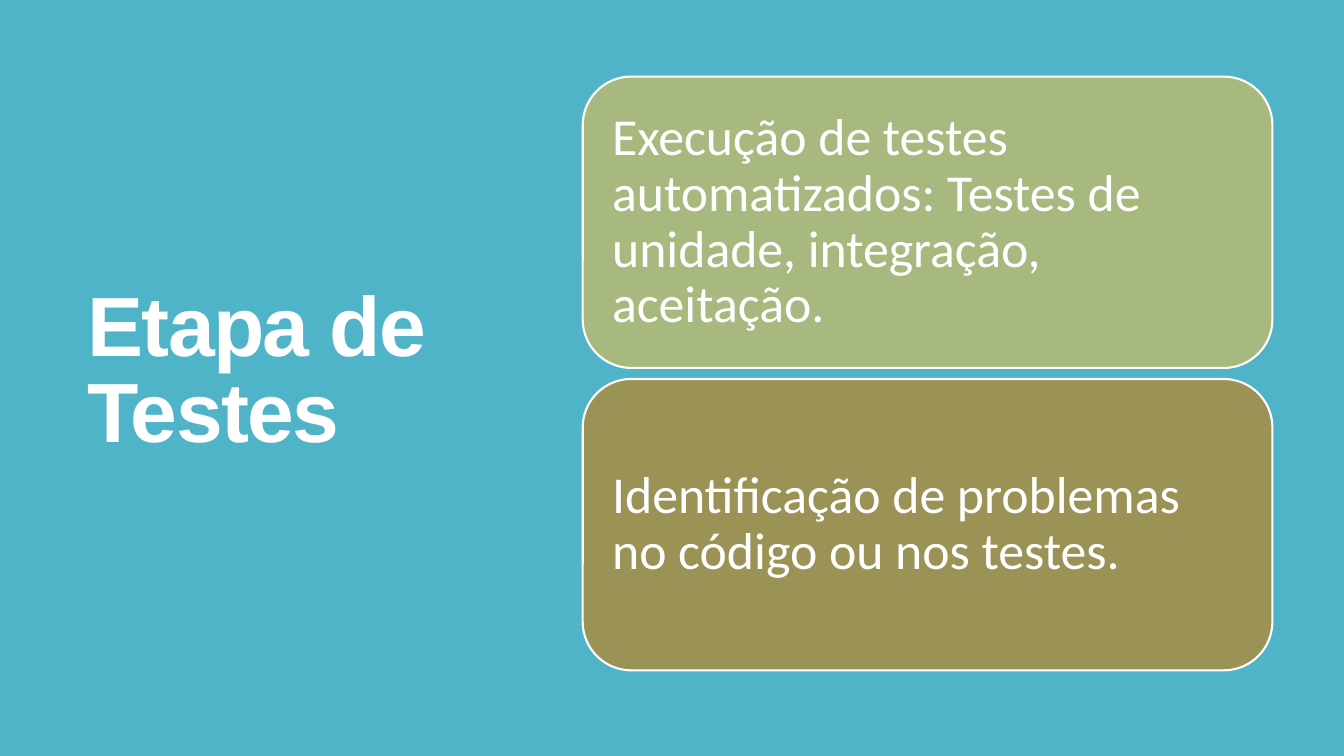
from pptx import Presentation
from pptx.dml.color import RGBColor
from pptx.enum.shapes import MSO_SHAPE as SHAPE
from pptx.enum.text import MSO_ANCHOR as ANCHOR, PP_ALIGN as ALIGN
from pptx.util import Inches, Pt

WHITE = "FFFFFF"
CARDS = [
    ("Execução de testes automatizados: Testes de unidade, integração, aceitação.", "A8B97F"),
    ("Identificação de problemas no código ou nos testes.", "9B9256"),
]
CARD_TOP, CARD_STEP = 0.76, 3.0


def rgb(color):
    return RGBColor.from_string(color)


class Deck:
    title_font = "Arial"
    body_font = "Calibri"

    def __init__(self, background):
        self.prs = Presentation()
        self.prs.slide_width, self.prs.slide_height = Inches(13.33), Inches(7.5)
        self.slide = self.prs.slides.add_slide(self.prs.slide_layouts[6])
        fill = self.slide.background.fill
        fill.solid()
        fill.fore_color.rgb = rgb(background)

    def set_text(self, sp, text, font, size, spacing, bold=False):
        """Put one left-aligned, vertically centred paragraph in sp; return its run."""
        tf = sp.text_frame
        tf.text = text
        tf.word_wrap = True
        tf.vertical_anchor = ANCHOR.MIDDLE
        p = tf.paragraphs[0]
        p.alignment = ALIGN.LEFT
        p.line_spacing = spacing
        r = p.runs[0]
        r.font.name, r.font.size, r.font.bold = font, Pt(size), bold
        r.font.color.rgb = rgb(WHITE)
        return r

    def title(self, text, x, y, w, h):
        sp = self.slide.shapes.add_textbox(Inches(x), Inches(y), Inches(w), Inches(h))
        r = self.set_text(sp, text, self.title_font, 60, 0.85, bold=True)
        r.font._element.set("spc", "-120")

    def card(self, text, color, x, y, w, h):
        sp = self.slide.shapes.add_shape(
            SHAPE.ROUNDED_RECTANGLE, Inches(x), Inches(y), Inches(w), Inches(h))
        sp.shadow.inherit = False
        sp.fill.solid()
        sp.fill.fore_color.rgb = rgb(color)
        sp.line.color.rgb = rgb(WHITE)
        sp.line.width = Pt(1.5)
        tf = sp.text_frame
        tf.margin_left = tf.margin_right = tf.margin_top = tf.margin_bottom = Inches(0.15)
        self.set_text(sp, text, self.body_font, 37, 0.9)


def main():
    deck = Deck("50B4C8")
    deck.title("Etapa de Testes", 0.77, 0.7, 4.37, 6.01)
    for i, (text, color) in enumerate(CARDS):
        deck.card(text, color, 5.78, CARD_TOP + i * CARD_STEP, 6.84, 2.89)
    deck.prs.save("out.pptx")


if __name__ == "__main__":
    main()
